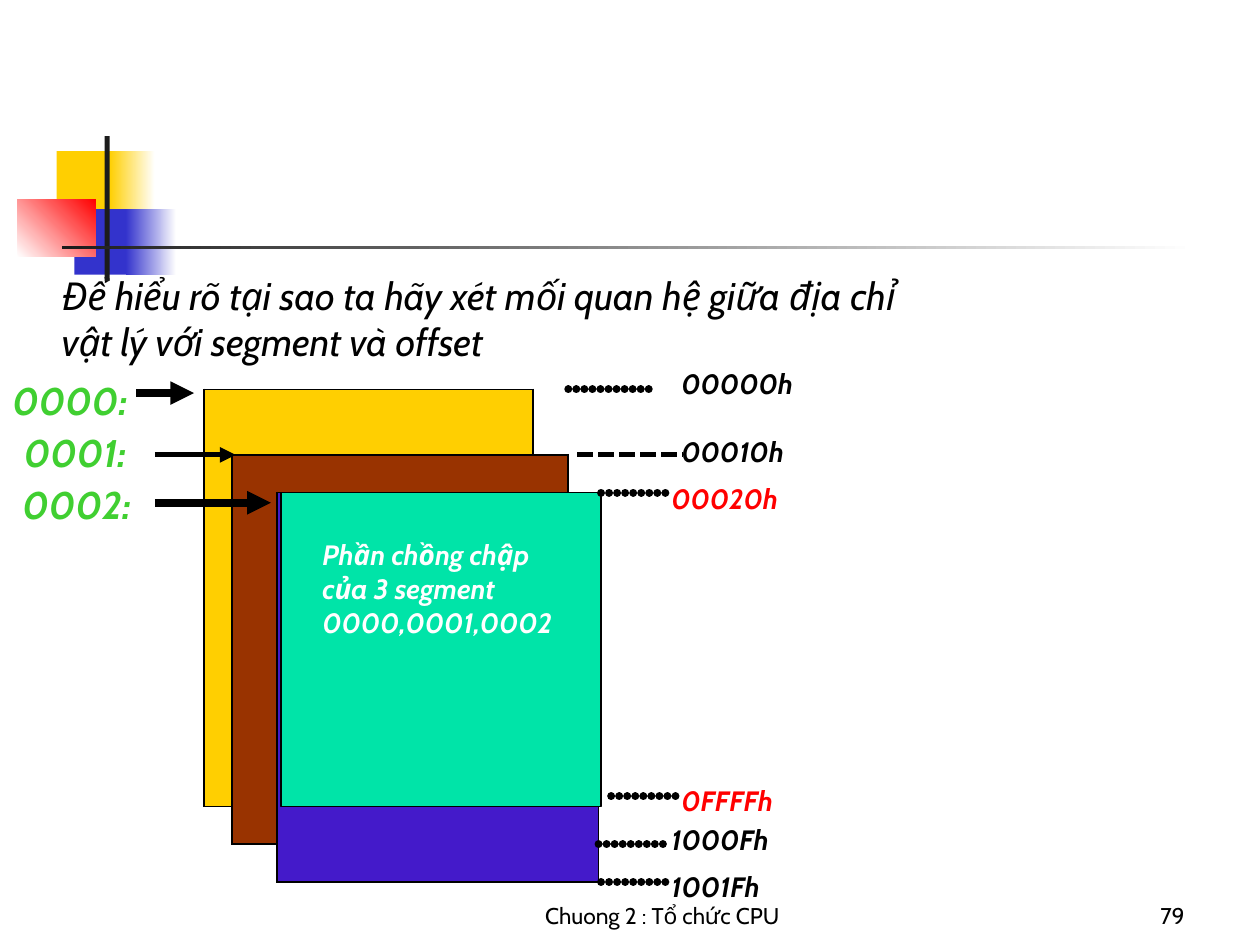
from lxml.etree import SubElement
from pptx import Presentation
from pptx.dml.color import RGBColor
from pptx.enum.dml import MSO_LINE
from pptx.enum.shapes import MSO_CONNECTOR, MSO_SHAPE
from pptx.enum.text import MSO_ANCHOR, PP_ALIGN
from pptx.oxml.ns import qn
from pptx.util import Inches, Pt

COLORS = {
    "black": "000000",
    "white": "FFFFFF",
    "yellow": "FFCF01",
    "blue": "3333CC",
    "red": "FF0000",
    "charcoal": "1C1C1C",
    "brown": "993300",
    "violet": "441ACA",
    "mint": "00E4A8",
    "green": "40CF31",
}
RGB = {name: RGBColor.from_string(value) for name, value in COLORS.items()}


def write_text(shape, text, size, color="black", bold=False, italic=True,
               align=PP_ALIGN.LEFT, anchor=MSO_ANCHOR.TOP):
    text_frame = shape.text_frame
    text_frame.text = text
    text_frame.word_wrap = True
    text_frame.vertical_anchor = anchor
    paragraph = text_frame.paragraphs[0]
    paragraph.alignment = align
    font = paragraph.runs[0].font
    font.name = "Cabin"
    font.size = Pt(size)
    font.bold = bold
    font.italic = italic
    font.color.rgb = RGB[color]


def add_line(left, right, y, width):
    connector = slide.shapes.add_connector(
        MSO_CONNECTOR.STRAIGHT, Inches(left), Inches(y), Inches(right), Inches(y))
    connector.line.color.rgb = RGB["black"]
    connector.line.width = Pt(width)
    SubElement(connector._element.spPr, qn("a:effectLst"))
    return connector


presentation = Presentation()
presentation.slide_width = Inches(10)
presentation.slide_height = Inches(7.5)
slide = presentation.slides.add_slide(presentation.slide_layouts[5])

decorations = [
    (0.45, 1.2, 0.48, 0.52, "yellow", None, 0),
    (0.87, 1.2, 0.36, 0.52, "yellow", "white", 0),
    (0.59, 1.66, 0.46, 0.52, "blue", None, 0),
    (1, 1.66, 0.4, 0.52, "blue", "white", 0),
    (0.14, 1.58, 0.62, 0.46, "white", "red", 45),
    (0.83, 1.08, 0.04, 1.15, "charcoal", None, 0),
    (0.49, 1.95, 8.99, 0.03, "charcoal", "white", 0),
]
for left, top, width, height, start, end, angle in decorations:
    shape = slide.shapes.add_shape(
        MSO_SHAPE.RECTANGLE, Inches(left), Inches(top), Inches(width), Inches(height))
    shape.shadow.inherit = False
    shape.line.fill.background()
    if end:
        shape.fill.gradient()
        shape.fill.gradient_angle = angle
        for stop, color in zip(shape.fill.gradient_stops, (start, end)):
            stop.color.rgb = RGB[color]
    else:
        shape.fill.solid()
        shape.fill.fore_color.rgb = RGB[start]

title = slide.shapes.title
title.left, title.top = Inches(0.39), Inches(2.11)
title.width, title.height = Inches(7.08), Inches(0.82)
write_text(title, "Để hiểu rõ tại sao ta hãy xét mối quan hệ giữa địa chỉ "
           "vật lý với segment và offset", 22)

footers = [
    (3.67, 3.17, "Chuong 2 : Tổ chức CPU", PP_ALIGN.CENTER),
    (7.42, 2.08, "79", PP_ALIGN.RIGHT),
]
for left, width, text, align in footers:
    footer = slide.shapes.add_textbox(
        Inches(left), Inches(6.92), Inches(width), Inches(0.5))
    write_text(footer, text, 13, italic=False, align=align, anchor=MSO_ANCHOR.BOTTOM)

segments = [
    (1.62, 3.09, 2.61, 3.31, "yellow"),
    (1.84, 3.61, 2.67, 3.09, "brown"),
    (2.2, 3.91, 2.55, 3.09, "violet"),
]
for left, top, width, height, color in segments:
    table = slide.shapes.add_table(
        1, 1, Inches(left), Inches(top), Inches(width), Inches(height)).table
    cell = table.cell(0, 0)
    properties = cell._tc.get_or_add_tcPr()
    for side in ("a:lnL", "a:lnR", "a:lnT", "a:lnB"):
        border = SubElement(properties, qn(side), w=str(Pt(1.08)))
        border_fill = SubElement(border, qn("a:solidFill"))
        SubElement(border_fill, qn("a:srgbClr"), val=COLORS["black"])
    cell.fill.solid()
    cell.fill.fore_color.rgb = RGB[color]

overlap = slide.shapes.add_shape(
    MSO_SHAPE.RECTANGLE, Inches(2.23), Inches(3.91), Inches(2.54), Inches(2.49))
overlap.shadow.inherit = False
overlap.fill.solid()
overlap.fill.fore_color.rgb = RGB["mint"]
overlap.line.color.rgb = RGB["black"]
overlap.line.width = Pt(0.75)

labels = [
    (0, 2.94, 1.15, 0.46, "0000:", 22, "green"),
    (0.09, 3.36, 1.15, 0.46, "0001:", 22, "green"),
    (0.08, 3.77, 1.15, 0.46, "0002:", 22, "green"),
    (5.31, 2.86, 1.62, 0.36, "00000h", 16, "black"),
    (5.31, 3.4, 1.62, 0.36, "00010h", 16, "black"),
    (5.23, 3.77, 1.62, 0.36, "00020h", 16, "red"),
    (5.31, 6.17, 1.62, 0.36, "0FFFFh", 16, "red"),
    (5.23, 6.48, 1.62, 0.36, "1000Fh", 16, "black"),
    (5.23, 6.85, 1.62, 0.36, "1001Fh", 16, "black"),
    (2.46, 4.22, 2.15, 0.89, "Phần chồng chập của 3 segment 0000,0001,0002", 16, "white"),
]
for left, top, width, height, text, size, color in labels:
    label = slide.shapes.add_textbox(
        Inches(left), Inches(top), Inches(width), Inches(height))
    write_text(label, text, size, color, bold=True)

square_dots = add_line(4.58, 5.42, 3.61, 3)
square_dots.line.dash_style = MSO_LINE.SQUARE_DOT

round_dots = [(4.51, 5.2, 3.09), (4.77, 5.31, 3.91), (4.85, 5.39, 6.32),
              (4.75, 5.29, 6.7), (4.77, 5.31, 7)]
for left, right, y in round_dots:
    line_properties = add_line(left, right, y, 4.5).line._get_or_add_ln()
    line_properties.set("cap", "rnd")
    dash = SubElement(line_properties, qn("a:custDash"))
    SubElement(dash, qn("a:ds"), d="100000", sp="2000")

arrows = [(1.08, 1.54, 3.12, 4.5), (1.23, 1.87, 3.61, 3), (1.23, 2.15, 3.99, 4.5)]
for left, right, y, width in arrows:
    arrow = add_line(left, right, y, width)
    SubElement(arrow.line._get_or_add_ln(), qn("a:tailEnd"), type="triangle")

presentation.save("out.pptx")
